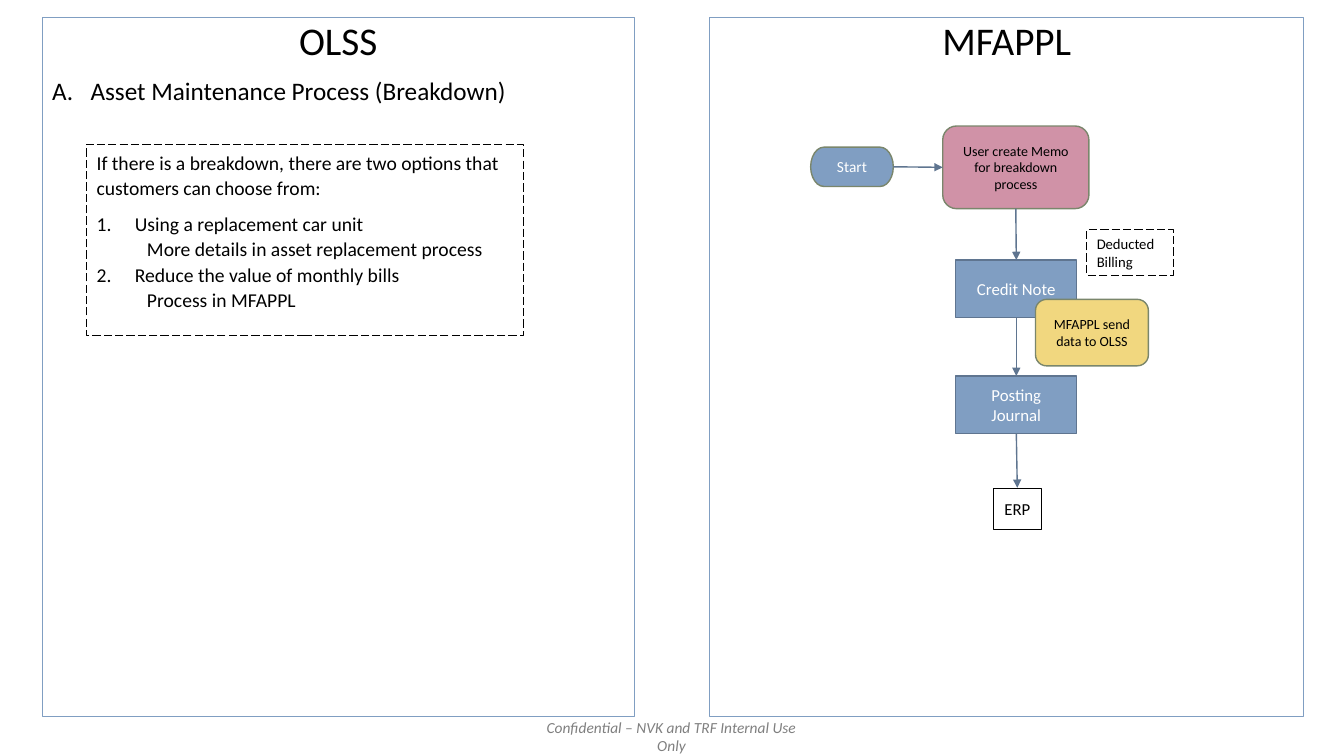
from lxml.etree import SubElement
from pptx import Presentation
from pptx.dml.color import RGBColor
from pptx.enum.dml import MSO_LINE
from pptx.enum.shapes import MSO_CONNECTOR, MSO_SHAPE
from pptx.enum.text import MSO_ANCHOR, PP_ALIGN
from pptx.oxml.ns import qn
from pptx.util import Inches, Pt

BLACK = RGBColor(0x00, 0x00, 0x00)
WHITE = RGBColor(0xFF, 0xFF, 0xFF)
GRAY = RGBColor(0x7F, 0x7F, 0x7F)
BLUE = RGBColor(0x80, 0x9E, 0xC2)
DARK_BLUE = RGBColor(0x5F, 0x75, 0x90)
OLIVE = RGBColor(0x7A, 0x86, 0x6C)
YELLOW = RGBColor(0xF1, 0xD7, 0x7F)
PINK = RGBColor(0xD0, 0x92, 0xA7)

presentation = Presentation()
presentation.slide_width = Inches(13.33)
presentation.slide_height = Inches(7.5)
slide = presentation.slides.add_slide(presentation.slide_layouts[6])


def add_box(kind, left, top, width, height, fill, line, line_width, dashed=False):
    shape = slide.shapes.add_shape(kind, Inches(left), Inches(top), Inches(width), Inches(height))
    shape.shadow.inherit = False
    if fill is None:
        shape.fill.background()
    else:
        shape.fill.solid()
        shape.fill.fore_color.rgb = fill
    shape.line.color.rgb = line
    shape.line.width = Pt(line_width)
    if dashed:
        shape.line.dash_style = MSO_LINE.LONG_DASH
    return shape


def write(shape, text, size, color=BLACK, align=PP_ALIGN.LEFT, anchor=MSO_ANCHOR.TOP,
          italic=False, wrap=True, spacing=1.0, before=0, after=0,
          level=0, margin=0, indent=0, numbering=None):
    frame = shape.text_frame
    frame.word_wrap = wrap
    frame.vertical_anchor = anchor
    paragraph = frame.add_paragraph() if frame.text else frame.paragraphs[0]
    paragraph.alignment = align
    paragraph.level = level
    paragraph.line_spacing = spacing
    paragraph.space_before = Pt(before)
    paragraph.space_after = Pt(after)
    properties = paragraph._p.get_or_add_pPr()
    properties.set("marL", str(Inches(margin)))
    properties.set("indent", str(Inches(indent)))
    if numbering:
        SubElement(properties, qn("a:buAutoNum"), type=numbering)
    run = paragraph.add_run()
    run.text = text
    run.font.name = "Calibri"
    run.font.size = Pt(size)
    run.font.italic = italic
    run.font.color.rgb = color


footer = slide.shapes.add_textbox(Inches(5.19), Inches(7.16), Inches(2.94), Inches(0.29))
write(footer, "Confidential – NVK and TRF Internal Use Only", 11, color=GRAY, italic=True,
      align=PP_ALIGN.CENTER, anchor=MSO_ANCHOR.MIDDLE, wrap=False)

panels = []
for title, left, width in [("OLSS", 0.42, 5.87), ("MFAPPL", 7.04, 5.89)]:
    panel = add_box(MSO_SHAPE.RECTANGLE, left, 0.17, width, 6.94, None, BLUE, 0.75)
    write(panel, title, 28, align=PP_ALIGN.CENTER, spacing=0.9, before=10)
    panels.append(panel)
write(panels[0], "Asset Maintenance Process (Breakdown)", 18, spacing=0.9, before=10,
      margin=0.38, indent=-0.38, numbering="alphaUcPeriod")

options = add_box(MSO_SHAPE.RECTANGLE, 0.86, 1.43, 4.33, 1.9, None, BLACK, 0.75, dashed=True)
write(options, "If there is a breakdown, there are two options that customers can choose from:",
      14, spacing=1.07, after=8)
for option, detail in [
    ("Using a replacement car unit", "More details in asset replacement process"),
    ("Reduce the value of monthly bills", "Process in MFAPPL"),
]:
    write(options, option, 14, spacing=1.07, margin=0.38, indent=-0.38, numbering="arabicPeriod")
    write(options, detail, 14, spacing=1.07, level=1, margin=0.5)

steps = {}
for text, kind, left, top, width, height, fill, line, line_width, size, color in [
    ("Start", MSO_SHAPE.FLOWCHART_TERMINATOR, 8.04, 1.46, 0.82, 0.39, BLUE, OLIVE, 1, 11, WHITE),
    ("User create Memo for breakdown process", MSO_SHAPE.ROUNDED_RECTANGLE,
     9.35, 1.25, 1.45, 0.82, PINK, OLIVE, 1, 10, BLACK),
    ("Credit Note", MSO_SHAPE.RECTANGLE, 9.48, 2.58, 1.2, 0.57, BLUE, DARK_BLUE, 1, 12, WHITE),
    ("Posting Journal", MSO_SHAPE.RECTANGLE, 9.48, 3.73, 1.2, 0.57, BLUE, DARK_BLUE, 1, 12, WHITE),
    ("ERP", MSO_SHAPE.RECTANGLE, 9.85, 4.84, 0.48, 0.41, WHITE, BLACK, 0.5, 12, BLACK),
    ("MFAPPL send data to OLSS", MSO_SHAPE.ROUNDED_RECTANGLE,
     10.27, 2.97, 1.12, 0.66, YELLOW, OLIVE, 1, 10, BLACK),
]:
    steps[text] = add_box(kind, left, top, width, height, fill, line, line_width)
    write(steps[text], text, size, color=color, align=PP_ALIGN.CENTER, anchor=MSO_ANCHOR.MIDDLE)

billing = add_box(MSO_SHAPE.RECTANGLE, 10.78, 2.28, 0.86, 0.45, None, BLACK, 0.75, dashed=True)
write(billing, "Deducted Billing", 10.5)

TOP, LEFT, BOTTOM, RIGHT = range(4)
memo = "User create Memo for breakdown process"
for source, source_side, target, target_side in [
    ("Start", RIGHT, memo, LEFT),
    (memo, BOTTOM, "Credit Note", TOP),
    ("Credit Note", BOTTOM, "Posting Journal", TOP),
    ("Posting Journal", BOTTOM, "ERP", TOP),
]:
    arrow = slide.shapes.add_connector(MSO_CONNECTOR.STRAIGHT, 0, 0, 0, 0)
    arrow.begin_connect(steps[source], source_side)
    arrow.end_connect(steps[target], target_side)
    arrow.line.color.rgb = DARK_BLUE
    arrow.line.width = Pt(1)
    SubElement(arrow.line._get_or_add_ln(), qn("a:tailEnd"), type="triangle")
    SubElement(arrow._element.spPr, qn("a:effectLst"))

presentation.save("out.pptx")
